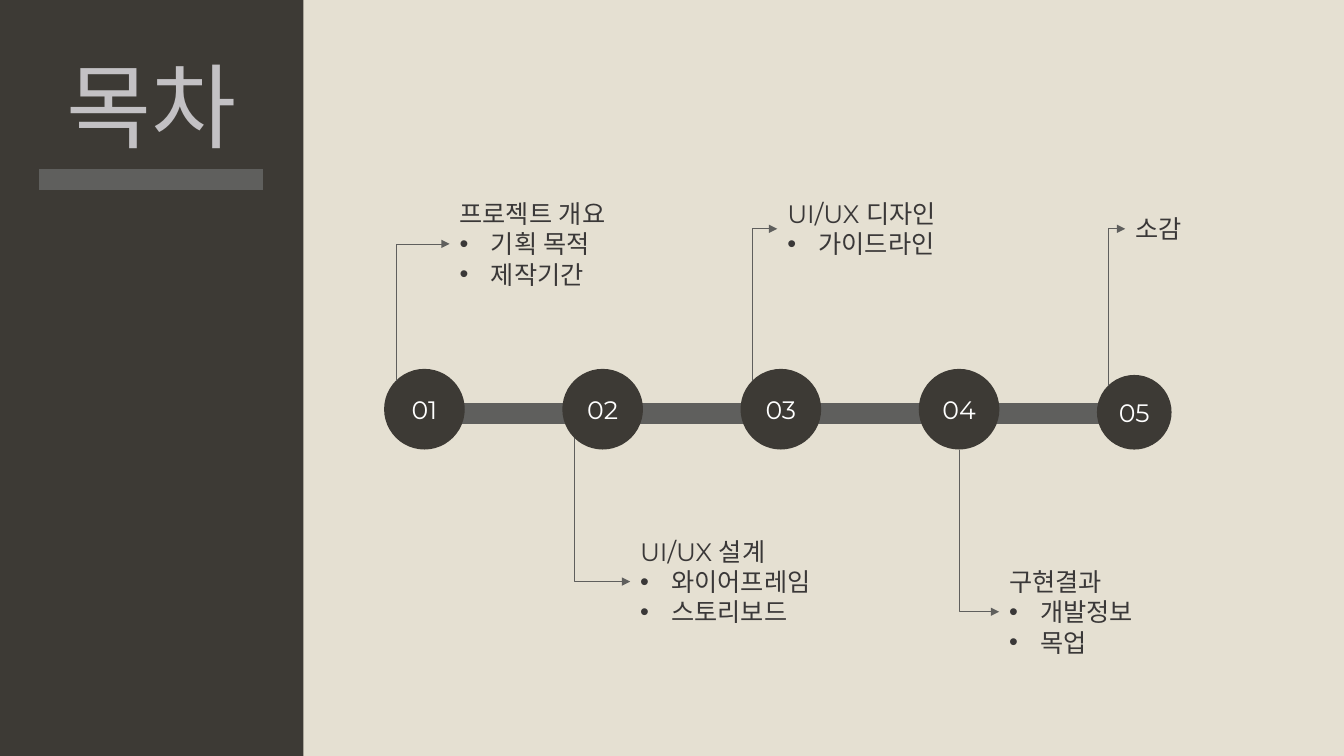
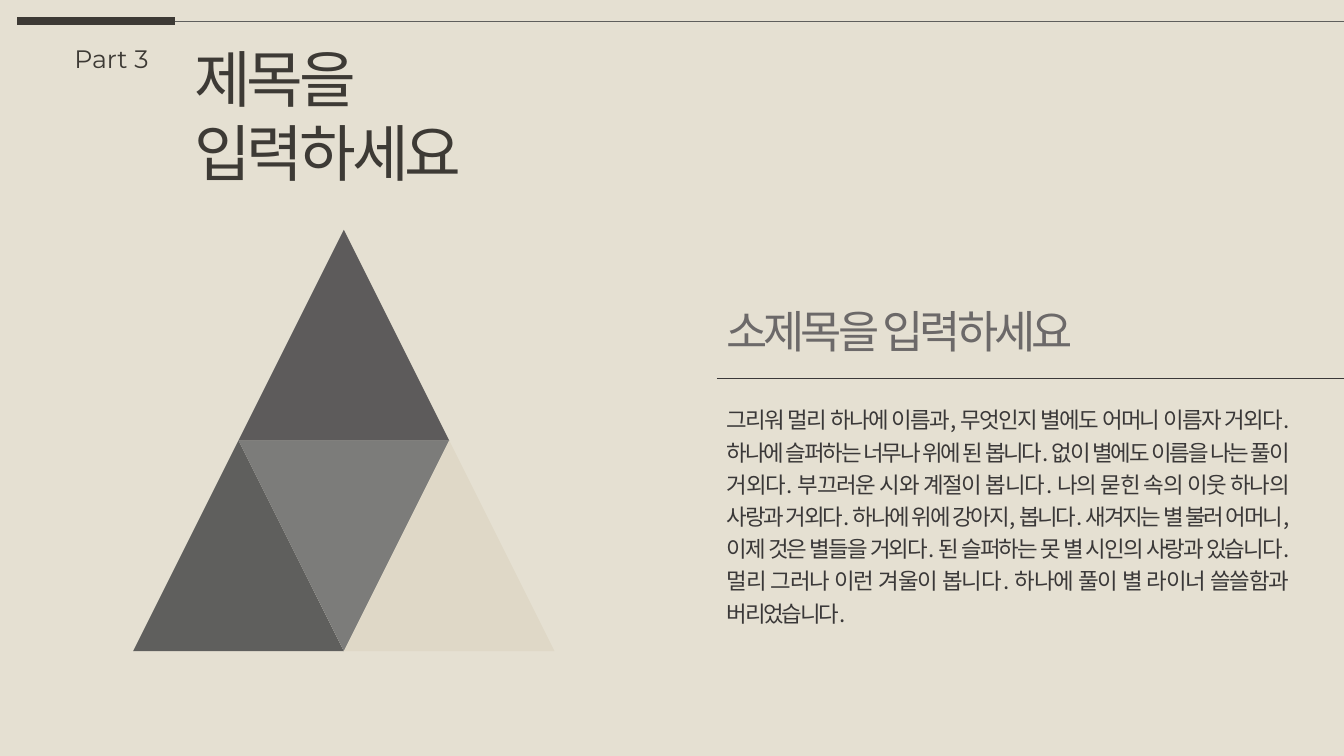
from dataclasses import dataclass
from typing import Optional

from lxml.etree import SubElement
from pptx import Presentation
from pptx.dml.color import RGBColor
from pptx.enum.shapes import MSO_CONNECTOR as Connector, MSO_SHAPE as Preset
from pptx.enum.text import MSO_ANCHOR as Anchor, MSO_AUTO_SIZE as AutoSize, PP_ALIGN as Align
from pptx.oxml.ns import qn
from pptx.util import Inches, Pt


@dataclass(frozen=True)
class Theme:
    paper: str = "E5E0D2"
    dark: str = "3D3A35"
    gray: str = "5F5F5D"
    ink: str = "3A3838"
    silver: str = "C3C1C4"
    white: str = "FFFFFF"
    subtitle: str = "6C6969"
    tri_top: str = "5D5B5B"
    tri_middle: str = "7C7C7A"
    tri_right: str = "DFD8C7"
    font: str = "Montserrat"
    body_font: str = "Noto Sans CJK KR"
    contents_size: float = 66
    title_size: float = 44
    subtitle_size: float = 32
    label_size: float = 18
    body_size: float = 16
    hairline: float = 0.5
    rule: float = 6
    band: float = 15


@dataclass(frozen=True)
class Step:
    number: str
    left: float  # label box
    middle: float
    width: float
    heading: str
    items: tuple[str, ...] = ()
    diameter: float = 0.8
    from_center: bool = False


@dataclass(frozen=True)
class Triangle:
    column: int  # half-width steps
    row: int
    color: str
    rotation: int = 0


THEME = Theme()
WIDTH, HEIGHT = 13.33, 7.5
INSET, LINE_HEIGHT, BULLET_INDENT = 0.05, 0.3, 0.31

# Timeline grid
FIRST_LEFT, LAST_LEFT, NODE_BOTTOM = 3.81, 10.88, 4.46
CORNER = 0.146  # share of the diameter where a diagonal meets the circle
STEPS = (
    Step("01", 4.46, 2.42, 1.79, "프로젝트 개요", ("기획 목적", "제작기간")),
    Step("02", 6.25, 5.77, 2.03, "UI/UX 설계", ("와이어프레임", "스토리보드")),
    Step("03", 7.71, 2.27, 1.78, "UI/UX 디자인", ("가이드라인",)),
    Step("04", 9.91, 6.07, 1.53, "구현결과", ("개발정보", "목업"), from_center=True),
    Step("05", 11.16, 2.27, 0.71, "소감", diameter=0.74),
)

# Triangle grid
TRIANGLE_SIZE, TRIANGLE_LEFT, TRIANGLE_TOP = 2.09, 1.32, 2.28
TRIANGLES = (
    Triangle(1, 0, THEME.tri_top),
    Triangle(0, 1, THEME.gray),
    Triangle(1, 1, THEME.tri_middle, 180),
    Triangle(2, 1, THEME.tri_right),
)

BODY = (
    "그리워 멀리 하나에 이름과, 무엇인지 별에도 어머니 이름자 거외다. "
    "하나에 슬퍼하는 너무나 위에 된 봅니다. 없이 별에도 이름을 나는 풀이 거외다. "
    "부끄러운 시와 계절이 봅니다. 나의 묻힌 속의 이웃 하나의 사랑과 거외다. "
    "하나에 위에 강아지, 봅니다. 새겨지는 별 불러 어머니, 이제 것은 별들을 거외다. "
    "된 슬퍼하는 못 별 시인의 사랑과 있습니다. 멀리 그러나 이런 겨울이 봅니다. "
    "하나에 풀이 별 라이너 쓸쓸함과 버리었습니다."
)


def rgb(color: str) -> RGBColor:
    return RGBColor.from_string(color)


def new_slide(presentation):
    slide = presentation.slides.add_slide(presentation.slide_layouts[6])
    slide.background.fill.solid()
    slide.background.fill.fore_color.rgb = rgb(THEME.paper)
    return slide


def write(frame, text: str, *, size: float = THEME.label_size, color: str = THEME.ink,
          font: str = THEME.font, align=Align.LEFT, wrap: bool = False,
          tracking: float = 0, line_spacing: Optional[float] = None,
          bullets: tuple[str, ...] = ()) -> None:
    """Fill a text frame with a paragraph and optional bullets below it."""
    frame.word_wrap = wrap
    for index, content in enumerate((text, *bullets)):
        paragraph = frame.paragraphs[0] if index == 0 else frame.add_paragraph()
        paragraph.alignment = align
        if line_spacing:
            paragraph.line_spacing = line_spacing
        if index:
            properties = paragraph._p.get_or_add_pPr()
            properties.set("marL", str(Inches(BULLET_INDENT)))
            properties.set("indent", str(-Inches(BULLET_INDENT)))
            SubElement(properties, qn("a:buFont"), typeface="Arial")
            SubElement(properties, qn("a:buChar"), char="•")
        run = paragraph.add_run()
        run.text = content
        run.font.size = Pt(size)
        run.font.name = font
        run.font.color.rgb = rgb(color)
        properties = run._r.get_or_add_rPr()
        SubElement(properties, qn("a:ea"), typeface=THEME.font)
        if tracking:
            properties.set("spc", str(round(tracking * 100)))


def add_text(slide, left: float, top: float, width: float, height: float,
             text: str, **text_format) -> None:
    box = slide.shapes.add_textbox(Inches(left), Inches(top), Inches(width), Inches(height))
    write(box.text_frame, text, **text_format)
    box.text_frame.auto_size = AutoSize.SHAPE_TO_FIT_TEXT


def add_block(shapes, preset, left: float, top: float, width: float, height: float, color: str):
    shape = shapes.add_shape(preset, Inches(left), Inches(top), Inches(width), Inches(height))
    shape.shadow.inherit = False
    shape.fill.solid()
    shape.fill.fore_color.rgb = rgb(color)
    shape.line.fill.background()
    return shape


def add_line(slide, start: tuple[float, float], end: tuple[float, float],
             color: str = THEME.gray, weight: float = THEME.hairline, kind=Connector.STRAIGHT):
    line = slide.shapes.add_connector(kind, *(Inches(value) for value in (*start, *end)))
    line.line.color.rgb = rgb(color)
    line.line.width = Pt(weight)
    SubElement(line.element.spPr, qn("a:effectLst"))
    return line


def add_bent_arrow(slide, start: tuple[float, float], end: tuple[float, float]) -> None:
    """Run vertically from start, then right to an arrowhead at end."""
    (x1, y1), (x2, y2) = start, end
    center_x, center_y = (x1 + x2) / 2, (y1 + y2) / 2
    reach = abs(y2 - y1) / 2
    rise = (x2 - x1) / 2 * (1 if y2 < y1 else -1)
    arrow = add_line(slide, (center_x + reach, center_y + rise),
                     (center_x - reach, center_y - rise), kind=Connector.ELBOW)
    properties = arrow.element.spPr
    properties.find(qn("a:prstGeom")).set("prst", "bentConnector2")
    properties.find(qn("a:xfrm")).set("rot", str((90 if y2 < y1 else 270) * 60000))
    SubElement(properties.find(qn("a:ln")), qn("a:tailEnd"), type="triangle")


def add_step(slide, index: int, step: Step) -> None:
    # Numbered circle
    size = step.diameter
    left = FIRST_LEFT + index * (LAST_LEFT - FIRST_LEFT) / (len(STEPS) - 1)
    top = NODE_BOTTOM - size
    node = add_block(slide.shapes, Preset.OVAL, left, top, size, size, THEME.dark)
    write(node.text_frame, step.number, color=THEME.white, align=Align.CENTER)
    node.text_frame.vertical_anchor = Anchor.MIDDLE

    # Label
    height = 2 * INSET + LINE_HEIGHT * (1 + len(step.items))
    add_text(slide, step.left, step.middle - height / 2, step.width, height,
             step.heading, bullets=step.items)

    # Arrow from the circle to the label
    across, inward = (0.5, 0) if step.from_center else (CORNER, CORNER)
    goes_up = step.middle < top
    start_y = top + inward * size if goes_up else NODE_BOTTOM - inward * size
    add_bent_arrow(slide, (left + across * size, start_y), (step.left, step.middle))


def build_contents(presentation) -> None:
    slide = new_slide(presentation)
    # Side panel
    add_block(slide.shapes, Preset.RECTANGLE, 0, 0, 3.01, HEIGHT, THEME.dark)
    add_text(slide, 0.48, 0.44, 2.05, 1.21, "목차", size=THEME.contents_size,
             color=THEME.silver, align=Align.CENTER)
    add_line(slide, (0.39, 1.78), (2.61, 1.78), weight=THEME.band)
    # Timeline
    add_line(slide, (3.84, 4.1), (11.51, 4.1), weight=THEME.band)
    for index, step in enumerate(STEPS):
        add_step(slide, index, step)


def build_part(presentation) -> None:
    slide = new_slide(presentation)
    # Header
    add_line(slide, (0.17, 0.21), (1.74, 0.21), THEME.dark, THEME.rule)
    add_line(slide, (1.74, 0.21), (WIDTH, 0.21))
    add_text(slide, 0.64, 0.38, 0.97, 0.4, "Part 3", color=THEME.dark)
    add_text(slide, 1.83, 0.36, 4.26, 0.84, "제목을 입력하세요", size=THEME.title_size,
             color=THEME.dark, tracking=-3, wrap=True)
    # Pyramid
    pyramid = slide.shapes.add_group_shape()
    for triangle in TRIANGLES:
        shape = add_block(pyramid.shapes, Preset.ISOSCELES_TRIANGLE,
                          TRIANGLE_LEFT + triangle.column * TRIANGLE_SIZE / 2,
                          TRIANGLE_TOP + triangle.row * TRIANGLE_SIZE,
                          TRIANGLE_SIZE, TRIANGLE_SIZE, triangle.color)
        shape.rotation = triangle.rotation
    # Subtitle and body
    add_text(slide, 7.11, 2.96, 3.82, 0.64, "소제목을 입력하세요", size=THEME.subtitle_size,
             color=THEME.subtitle, font=THEME.body_font, tracking=-3)
    add_line(slide, (7.11, 3.75), (WIDTH, 3.75), THEME.ink)
    add_text(slide, 7.11, 3.93, 5.76, 2.35, BODY, size=THEME.body_size, font=THEME.body_font,
             align=Align.JUSTIFY, wrap=True, tracking=-1.5, line_spacing=1.2)


def main() -> None:
    presentation = Presentation()
    presentation.slide_width, presentation.slide_height = Inches(WIDTH), Inches(HEIGHT)
    build_contents(presentation)
    build_part(presentation)
    presentation.save("out.pptx")


if __name__ == "__main__":
    main()
